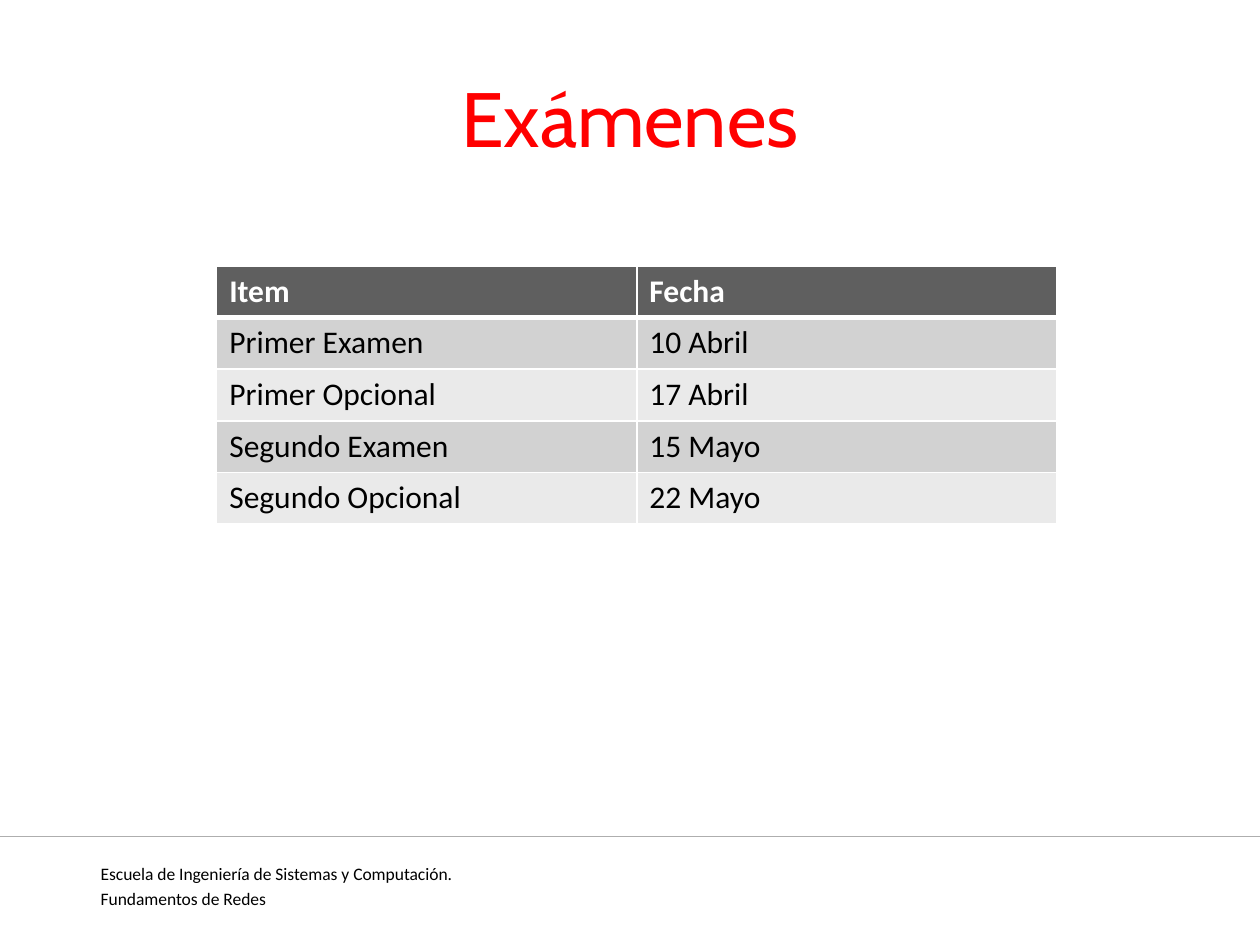
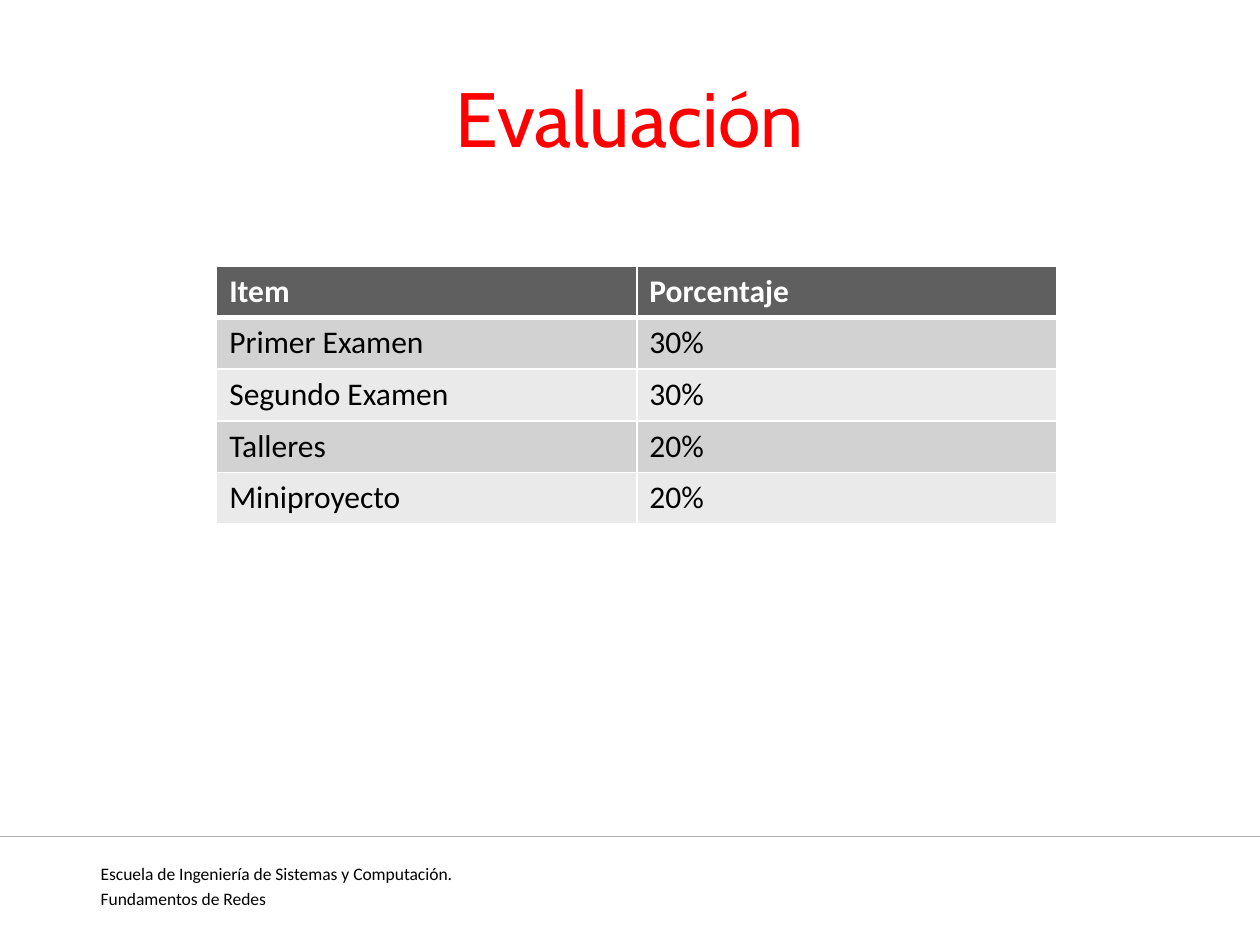
"""Build the exam dates and grading slides of a networking course."""
from lxml.etree import SubElement
from pptx import Presentation
from pptx.dml.color import RGBColor
from pptx.enum.shapes import MSO_CONNECTOR as Connector
from pptx.enum.text import MSO_ANCHOR as Anchor, PP_ALIGN as Align
from pptx.oxml import parse_xml
from pptx.oxml.ns import nsdecls, qn
from pptx.util import Inches, Pt

SLIDES = [
    ("Exámenes", [
        ("Item", "Fecha"),
        ("Primer Examen", "10 Abril"),
        ("Primer Opcional", "17 Abril"),
        ("Segundo Examen", "15 Mayo"),
        ("Segundo Opcional", "22 Mayo"),
    ]),
    ("Evaluación", [
        ("Item", "Porcentaje"),
        ("Primer Examen", "30%"),
        ("Segundo Examen", "30%"),
        ("Talleres", "20%"),
        ("Miniproyecto", "20%"),
    ]),
]
FOOTER = ["Escuela de Ingeniería de Sistemas y Computación.", "Fundamentos de Redes"]

RED, BLACK, WHITE = "FF0000", "000000", "FFFFFF"
RULE, HEADER, BANDS = "AEAEAE", "5F5F5F", ("D2D2D2", "EAEAEA")
TITLE_FONT, BODY_FONT = "Cabin", "Calibri"
WIDTH, HEIGHT, RULE_TOP = 10, 7.5, 6.64
TITLE_AREA = (0.5, 0.3, 9, 1.25)
FOOTER_AREA = (0.7, 6.8, 8.98, 0.39)
TABLE_LEFT, TABLE_TOP, TABLE_WIDTH, ROW_HEIGHT = 1.72, 2.11, 6.67, 0.41


def color(code):
    return RGBColor.from_string(code)


def add_span(para, text, size, font, code, bold=False):
    span = para.add_run()
    span.text = text
    span.font.size = Pt(size)
    span.font.name = font
    span.font.bold = bold
    span.font.color.rgb = color(code)


def add_text(page, area, lines, size, font, code, align, anchor=Anchor.TOP, before=0):
    frame = page.shapes.add_textbox(*map(Inches, area)).text_frame
    frame.word_wrap = True
    frame.vertical_anchor = anchor
    for index, line in enumerate(lines):
        para = frame.add_paragraph() if index else frame.paragraphs[0]
        para.alignment = align
        para.space_before = Pt(before)
        add_span(para, line, size, font, code)


def add_rule(page):
    rule = page.shapes.add_connector(
        Connector.STRAIGHT, 0, Inches(RULE_TOP), Inches(WIDTH), Inches(RULE_TOP))
    rule.line.color.rgb = color(RULE)
    rule.line.width = Pt(0.75)
    SubElement(rule._element.spPr, qn("a:effectLst"))


def set_borders(cell, widths):
    properties = cell._tc.get_or_add_tcPr()
    for index, (side, width) in enumerate(widths.items()):
        properties.insert(index, parse_xml(
            f'<a:ln{side} {nsdecls("a")} w="{Pt(width)}"><a:solidFill>'
            f'<a:srgbClr val="{WHITE}"/></a:solidFill></a:ln{side}>'))


def add_grid(page, rows):
    columns = len(rows[0])
    table = page.shapes.add_table(
        len(rows), columns, Inches(TABLE_LEFT), Inches(TABLE_TOP),
        Inches(TABLE_WIDTH), Inches(ROW_HEIGHT * len(rows))).table
    for column in table.columns:
        column.width = Inches(TABLE_WIDTH / columns)
    for index, values in enumerate(rows):
        is_header = index == 0
        fill = HEADER if is_header else BANDS[(index - 1) % 2]
        top, bottom = (3 if index == 1 else 1), (3 if is_header else 1)
        for cell, value in zip(table.rows[index].cells, values):
            cell.fill.solid()
            cell.fill.fore_color.rgb = color(fill)
            set_borders(cell, {"L": 1, "R": 1, "T": top, "B": bottom})
            add_span(cell.text_frame.paragraphs[0], value, 18, BODY_FONT,
                     WHITE if is_header else BLACK, is_header)


deck = Presentation()
deck.slide_width, deck.slide_height = Inches(WIDTH), Inches(HEIGHT)
for title, rows in SLIDES:
    page = deck.slides.add_slide(deck.slide_layouts[6])
    add_text(page, FOOTER_AREA, FOOTER, 10, BODY_FONT, BLACK, Align.JUSTIFY, before=2)
    add_text(page, TITLE_AREA, [title], 44, TITLE_FONT, RED, Align.CENTER, Anchor.MIDDLE)
    add_rule(page)
    add_grid(page, rows)
deck.save("out.pptx")
